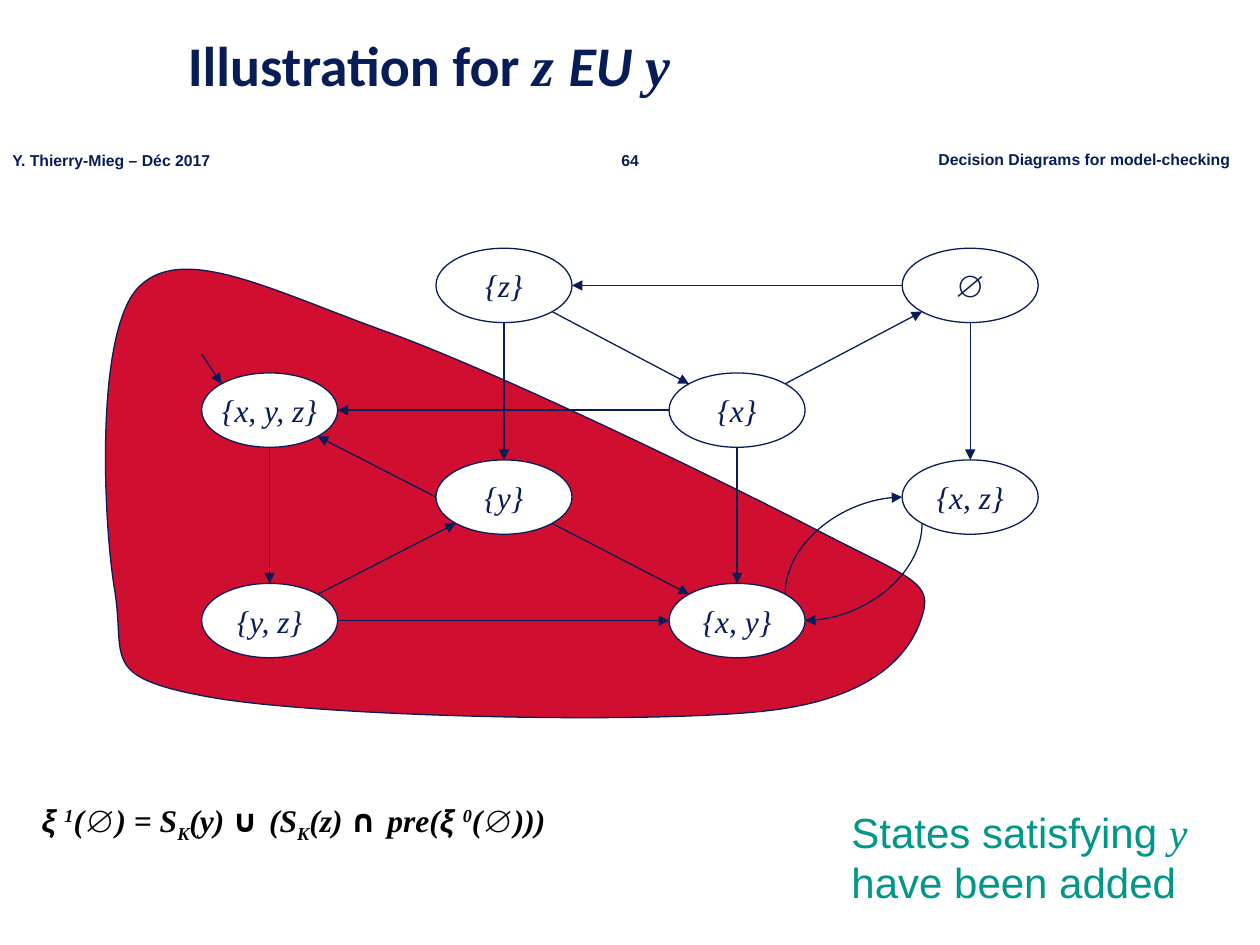
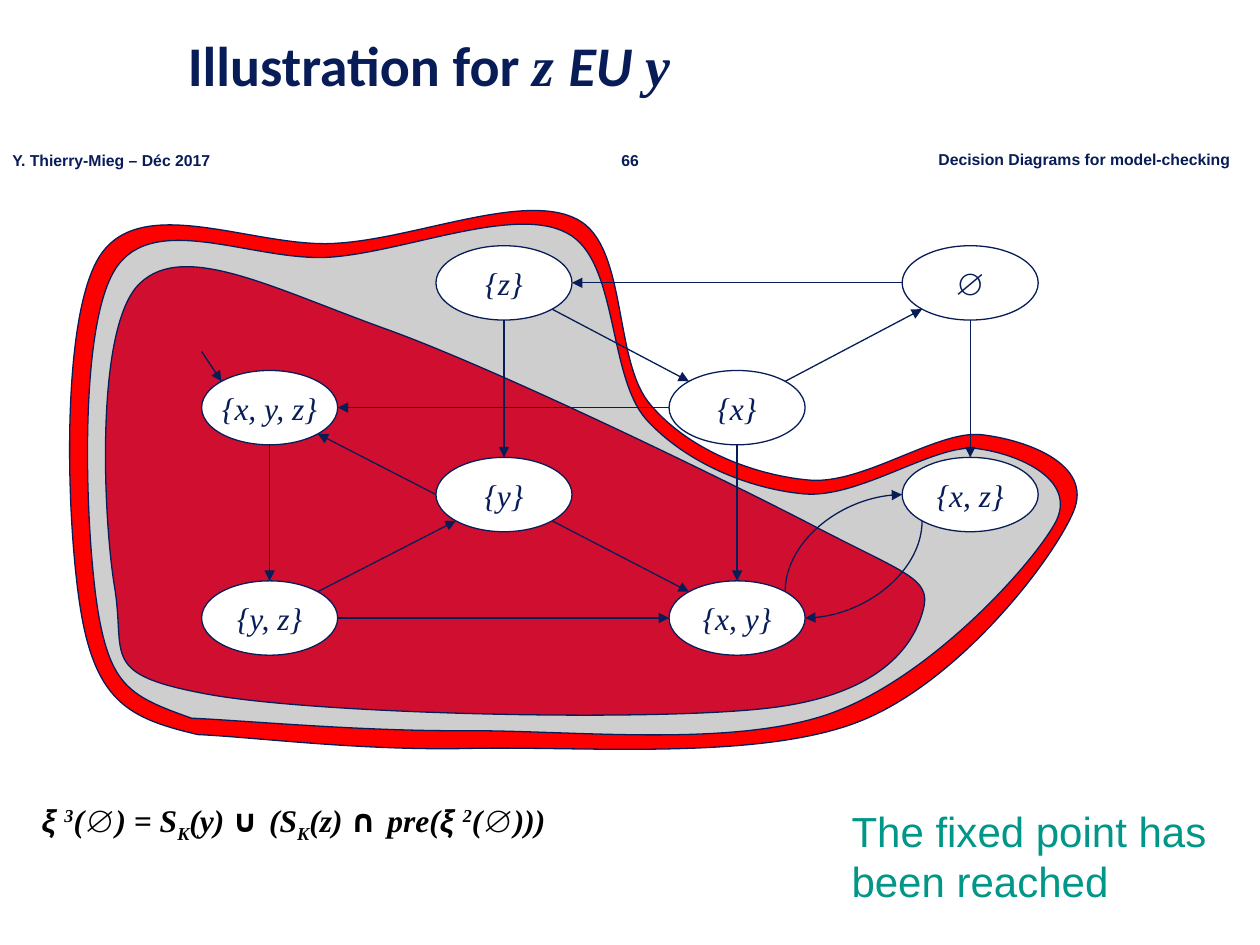
from math import cos, radians, sin

from lxml.etree import SubElement
from pptx import Presentation
from pptx.dml.color import RGBColor
from pptx.enum.shapes import MSO_CONNECTOR, MSO_SHAPE
from pptx.enum.text import MSO_ANCHOR, MSO_AUTO_SIZE, PP_ALIGN
from pptx.oxml.ns import qn
from pptx.util import Pt

PX = 9144  # 100 px to the inch
NAVY = RGBColor(0x08, 0x1D, 0x58)
BLACK = RGBColor(0x00, 0x00, 0x00)
WHITE = RGBColor(0xFF, 0xFF, 0xFF)
CRIMSON = RGBColor(0xCF, 0x0E, 0x30)
RED = RGBColor(0xFF, 0x00, 0x00)
GREY = RGBColor(0xCE, 0xCE, 0xCE)
TEAL = RGBColor(0x00, 0x96, 0x88)
SERIF = "Times New Roman"
LINE_WIDTH = Pt(0.75)

# State graph: positions follow from column and row
NODE_W, NODE_H = 108, 59
COLUMNS = (160, 346, 531, 716)
ROWS = (197, 296, 365, 463)
NODES = {
    "{x, y, z}": (0, 1), "{y, z}": (0, 3), "{z}": (1, 0), "{y}": (1, 2),
    "∅": (3, 0), "{x, z}": (3, 2), "{x}": (2, 1), "{x, y}": (2, 3),
}
# Ellipse sites run counterclockwise in steps of 45 degrees, from 0 at the top
EDGES = [
    ("{x, y, z}", 4, "{y, z}", 0), ("{y, z}", 7, "{y}", 3),
    ("{y, z}", 6, "{x, y}", 2), ("{y}", 2, "{x, y, z}", 5),
    ("{y}", 5, "{x, y}", 1), ("{x}", 4, "{x, y}", 0),
    ("{x}", 2, "{x, y, z}", 6), ("{x}", 7, "∅", 3),
    ("∅", 4, "{x, z}", 0), ("∅", 2, "{z}", 6),
    ("{z}", 4, "{y}", 0), ("{z}", 5, "{x}", 1),
    ("{x, y}", 7, "{x, z}", 2), ("{x, z}", 3, "{x, y}", 6),
    (None, None, "{x, y, z}", 1),
]
CURVED = {("{x, y}", "{x, z}"), ("{x, z}", "{x, y}")}
ENTRY = (160, 281)

# Regions: a start point, then two controls and an end point for each curve
Y_REGION = [
    (165, 553),
    (78, 537), (100, 523), (91, 468),
    (82, 414), (75, 261), (111, 227),
    (146, 193), (217, 231), (306, 263),
    (395, 295), (576, 383), (647, 420),
    (718, 457), (739, 461), (733, 485),
    (727, 509), (705, 553), (610, 564),
    (516, 575), (252, 569), (165, 553),
]
OUTER_REGION = [
    (157, 583),
    (106, 571), (79, 559), (66, 495),
    (53, 431), (46, 252), (80, 202),
    (114, 152), (205, 198), (268, 193),
    (331, 189), (416, 152), (458, 174),
    (499, 195), (486, 288), (517, 322),
    (547, 357), (598, 377), (642, 381),
    (685, 385), (744, 341), (779, 345),
    (814, 349), (868, 368), (852, 406),
    (836, 444), (761, 542), (681, 573),
    (601, 604), (460, 592), (373, 594),
    (286, 596), (202, 585), (157, 583),
]
MIDDLE_REGION = [
    (152, 570),
    (104, 553), (88, 545), (78, 486),
    (68, 426), (61, 260), (92, 213),
    (123, 166), (204, 209), (264, 204),
    (324, 199), (409, 163), (450, 185),
    (491, 206), (482, 298), (513, 333),
    (544, 367), (594, 388), (638, 392),
    (682, 396), (742, 352), (775, 356),
    (808, 360), (857, 381), (837, 416),
    (817, 451), (736, 540), (657, 567),
    (578, 594), (449, 579), (365, 580),
    (281, 580), (196, 572), (152, 570),
]

# Number, step, vertical shift of the graph, regions from back to front, note
NOTE = {"size": 24, "color": TEAL}
SLIDES = [
    ("64", 1, 0, [(Y_REGION, 0, CRIMSON)], (666, 635, 287, 90),
     [("States satisfying ", NOTE), ("y", NOTE | {"font": SERIF, "italic": True}),
      ("\n", {}), ("have been added", NOTE)]),
    ("66", 3, -2, [(OUTER_REGION, 0, RED), (MIDDLE_REGION, 0, GREY), (Y_REGION, -2, CRIMSON)],
     (666, 634, 311, 90),
     [("The fixed point has ", NOTE), ("\n", {}), ("been reached", NOTE)]),
]


def add_run(p, text, font="Arial", size=18, color=NAVY, bold=False, italic=False, baseline=0):
    if text == "\n":
        p.add_line_break()
        return
    r = p.add_run()
    r.text = text
    r.font.name, r.font.size = font, Pt(size)
    r.font.bold, r.font.italic = bold, italic
    r.font.color.rgb = color
    if baseline:
        r._r.get_or_add_rPr().set("baseline", str(baseline * 1000))


def place(shape, *box):
    shape.left, shape.top, shape.width, shape.height = (v * PX for v in box)


prs = Presentation()
prs.slide_width, prs.slide_height = 1000 * PX, 750 * PX

for number, step, shift, regions, note_box, note in SLIDES:
    s = prs.slides.add_slide(prs.slide_layouts[1])

    # Title
    title = s.shapes.title
    place(title, 139, 0, 861, 108)
    tf = title.text_frame
    tf.auto_size = MSO_AUTO_SIZE.NONE
    tf.vertical_anchor = MSO_ANCHOR.MIDDLE
    p = tf.paragraphs[0]
    p.alignment, p.line_spacing = PP_ALIGN.LEFT, 0.9
    for text, font, italic in [("Illustration for ", "Calibri", False), ("z ", SERIF, True),
                               ("EU ", "Calibri", True), ("y", SERIF, True)]:
        add_run(p, text, font=font, size=32, bold=True, italic=italic)

    # Formula
    body = s.placeholders[1]
    place(body, 23, 631, 901, 69)
    tf = body.text_frame
    tf.auto_size = MSO_AUTO_SIZE.NONE
    p = tf.paragraphs[0]
    p.line_spacing, p.space_before = 0.9, Pt(5)
    pPr = p._p.get_or_add_pPr()
    pPr.set("marL", str(31 * PX))
    pPr.set("indent", str(-31 * PX))
    SubElement(pPr, qn("a:buNone"))
    for text, font, baseline in [
        ("ξ ", "Arial", 0), (str(step), SERIF, 30), ("(∅) = S", SERIF, 0), ("K", SERIF, -25),
        ("(y) ", SERIF, 0), ("∪ ", "Comic Neue", 0), ("(S", SERIF, 0), ("K", SERIF, -25),
        ("(z) ", SERIF, 0), ("∩ ", "Comic Neue", 0), ("pre(", SERIF, 0), ("ξ ", "Arial", 0),
        (str(step - 1), SERIF, 30), ("(∅)))", SERIF, 0),
    ]:
        add_run(p, text, font=font, color=BLACK, bold=True,
                italic=font != "Comic Neue", baseline=baseline)

    # Running line and note
    small = {"size": 9, "bold": True}
    for box, align, runs in [
        ((479, 115, 42, 25), PP_ALIGN.CENTER, [(number, small)]),
        ((0, 115, 180, 25), PP_ALIGN.LEFT, [("Y. Thierry-Mieg – Déc 2017", small)]),
        ((735, 114, 253, 25), PP_ALIGN.LEFT, [("Decision Diagrams for model-checking", small)]),
        (note_box, PP_ALIGN.LEFT, note),
    ]:
        tf = s.shapes.add_textbox(*(v * PX for v in box)).text_frame
        tf.word_wrap, tf.auto_size = False, MSO_AUTO_SIZE.SHAPE_TO_FIT_TEXT
        p = tf.paragraphs[0]
        p.alignment = align
        for text, fmt in runs:
            add_run(p, text, **fmt)

    # Regions: every three line segments become one cubic curve
    for points, dy, fill in regions:
        outline = [(x, y + dy) for x, y in points]
        builder = s.shapes.build_freeform(*outline[0], scale=PX)
        builder.add_line_segments(outline[1:], close=True)
        region = builder.convert_to_shape()
        lines = region.element.findall(".//" + qn("a:lnTo"))
        for i in range(0, len(lines), 3):
            curve = SubElement(lines[i].getparent(), qn("a:cubicBezTo"))
            lines[i].addprevious(curve)
            for line in lines[i:i + 3]:
                curve.append(line[0])
                line.getparent().remove(line)
        region.shadow.inherit = False
        region.fill.solid()
        region.fill.fore_color.rgb = fill
        region.line.color.rgb, region.line.width = NAVY, LINE_WIDTH

    # States
    states, sites = {}, {(None, None): (ENTRY[0], ENTRY[1] + shift)}
    for name, (col, row) in NODES.items():
        x, y = COLUMNS[col], ROWS[row] + shift
        state = s.shapes.add_shape(MSO_SHAPE.OVAL, x * PX, y * PX, NODE_W * PX, NODE_H * PX)
        state.shadow.inherit = False
        state.fill.solid()
        state.fill.fore_color.rgb = WHITE
        state.line.color.rgb, state.line.width = NAVY, LINE_WIDTH
        tf = state.text_frame
        tf.word_wrap, tf.vertical_anchor = False, MSO_ANCHOR.MIDDLE
        tf.paragraphs[0].alignment = PP_ALIGN.CENTER
        add_run(tf.paragraphs[0], name, font=SERIF, italic=True)
        states[name] = state
        for i in range(8):
            angle = radians(90 + 45 * i)
            sites[name, i] = (x + NODE_W / 2 * (1 + cos(angle)), y + NODE_H / 2 * (1 - sin(angle)))

    # Transitions
    for source, source_site, target, target_site in EDGES:
        (x1, y1), (x2, y2) = sites[source, source_site], sites[target, target_site]
        curved = (source, target) in CURVED
        kind, upward = MSO_CONNECTOR.STRAIGHT, y2 < y1
        if curved:  # a quarter turn swaps width and height about the centre
            kind = MSO_CONNECTOR.CURVE
            cx, cy, w, h = (x1 + x2) / 2, (y1 + y2) / 2, abs(y2 - y1), abs(x2 - x1)
            x1, y1, x2, y2 = cx - w / 2, cy - h / 2, cx + w / 2, cy + h / 2
        arrow = s.shapes.add_connector(kind, *(round(v * PX) for v in (x1, y1, x2, y2)))
        arrow.line.color.rgb, arrow.line.width = NAVY, LINE_WIDTH
        SubElement(arrow.line._get_or_add_ln(), qn("a:tailEnd"), type="triangle")
        spPr = arrow.element.spPr
        SubElement(spPr, qn("a:effectLst"))
        if curved:
            spPr.find(qn("a:prstGeom")).set("prst", "curvedConnector2")
            spPr.find(qn("a:xfrm")).set("rot", str((270 if upward else 90) * 60000))
            continue
        joints = arrow.element.find(".//" + qn("p:cNvCxnSpPr"))
        for tag, name, site in (("a:stCxn", source, source_site), ("a:endCxn", target, target_site)):
            if name:
                SubElement(joints, qn(tag), id=str(states[name].shape_id), idx=str(site))

prs.save("out.pptx")
